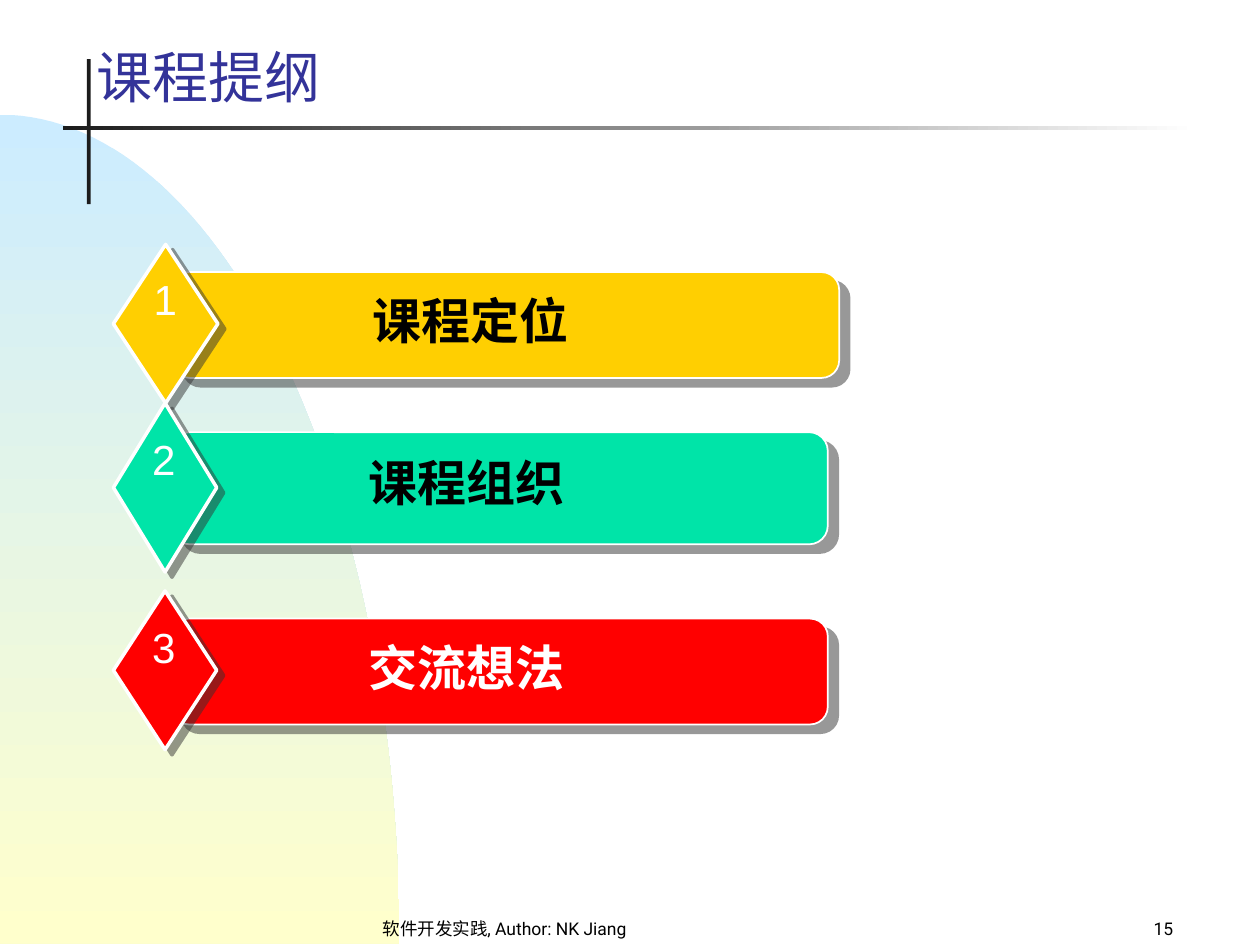
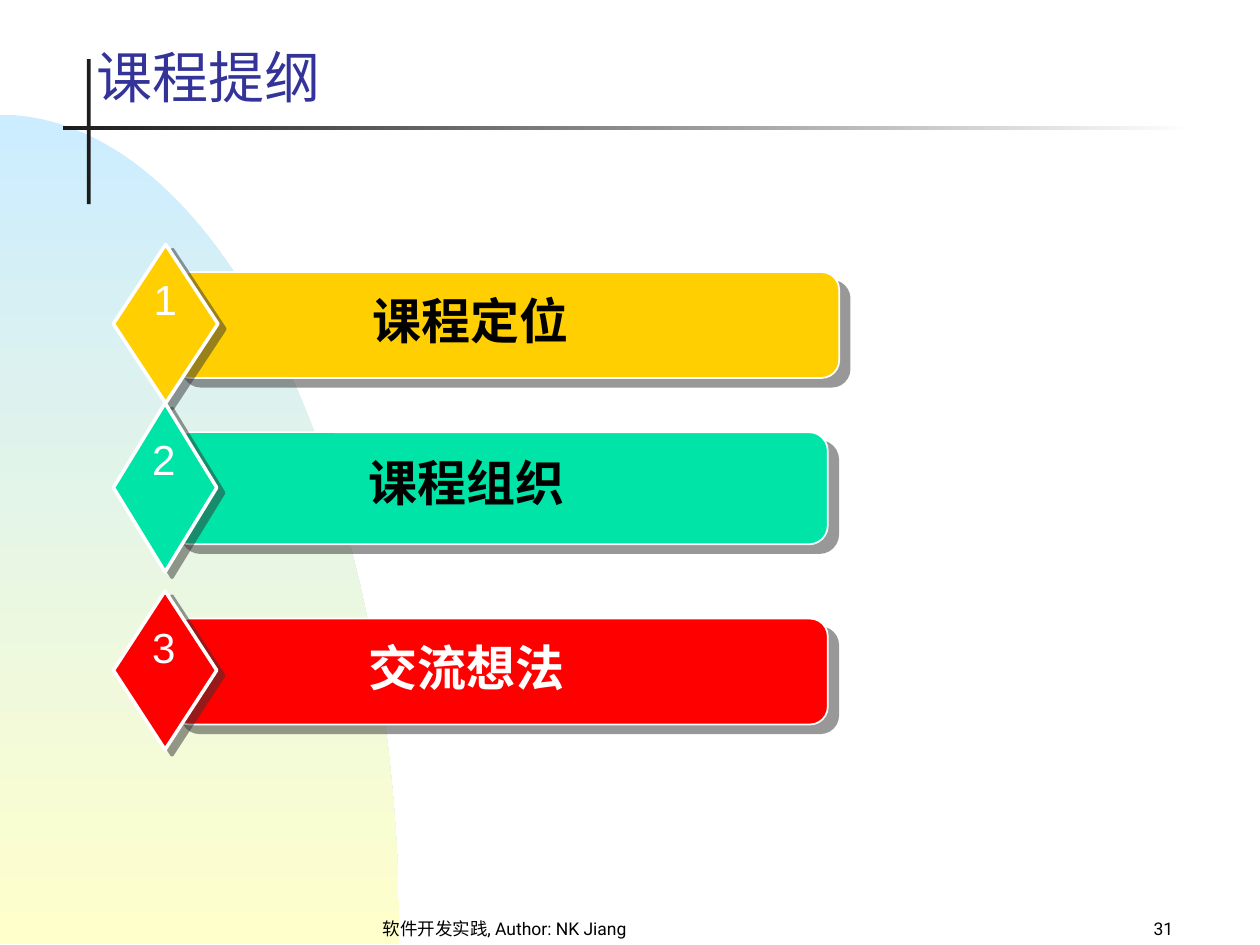
from math import cos, pi, sin

from lxml import etree
from pptx import Presentation
from pptx import util as u
from pptx.dml import color
from pptx.enum import shapes, text
from pptx.oxml import ns

Inches, Pt = u.Inches, u.Pt
KIND = shapes.MSO_SHAPE
ALIGN = text.PP_ALIGN
ANCHOR = text.MSO_ANCHOR

# Shared colours and fonts
INK, WHITE, BLACK = "1C1C1C", "FFFFFF", "000000"
SKY, CREAM, NAVY, SHADE = "CCECFF", "FFFFCC", "333399", "333333"
BODY, LABEL = "Roboto", "Arial"

# Outline rows: label, fill, label colour, bar, diamond, label box, number box
ROWS = [
    ("课程定位", "FFCF01", BLACK, (1.37, 2.16, 5.29, 0.84),
     (0.9, 1.94, 0.83, 1.26), (1.65, 2.26, 4.17, 0.57), (1.12, 2.12)),
    ("课程组织", "00E4A8", BLACK, (1.36, 3.43, 5.21, 0.89),
     (0.9, 3.2, 0.82, 1.34), (1.64, 3.54, 4.12, 0.57), (1.11, 3.39)),
    ("交流想法", "FF0000", WHITE, (1.36, 4.91, 5.21, 0.84),
     (0.9, 4.69, 0.82, 1.26), (1.64, 5.01, 4.12, 0.57), (1.11, 4.88)),
]


def rgb(code):
    return color.RGBColor.from_string(code)


def paint(shape, fill):
    """Fill with one colour, or with a (first, last, angle) gradient."""
    if isinstance(fill, str):
        shape.fill.solid()
        shape.fill.fore_color.rgb = rgb(fill)
        return
    first, last, angle = fill
    shape.fill.gradient()
    shape.fill.gradient_angle = angle
    for stop, code in zip(shape.fill.gradient_stops, (first, last)):
        stop.color.rgb = rgb(code)


def cast(shape, dist, angle):
    """Give the shape a hard, half-transparent shadow."""
    effects = shape._element.spPr.find(ns.qn("a:effectLst"))
    outer = etree.SubElement(effects, ns.qn("a:outerShdw"), blurRad="0",
                             dist=str(Pt(dist)), dir=str(angle * 60000),
                             algn="ctr", rotWithShape="0")
    tint = etree.SubElement(outer, ns.qn("a:srgbClr"), val=SHADE)
    etree.SubElement(tint, ns.qn("a:alpha"), val="50000")


def block(tree, kind, spot, fill, line=None):
    shape = tree.add_shape(kind, *map(Inches, spot))
    shape.shadow.inherit = False
    paint(shape, fill)
    if line:
        shape.line.color.rgb = rgb(WHITE)
        shape.line.width = Pt(line)
    else:
        shape.line.fill.background()
    return shape


def write(tree, words, spot, size, font=BODY, ink=BLACK, bold=False,
          align=ALIGN.LEFT, anchor=ANCHOR.TOP, wrap=True, grow=False):
    frame = tree.add_textbox(*map(Inches, spot)).text_frame
    frame.word_wrap = wrap
    frame.vertical_anchor = anchor
    if grow:
        frame.auto_size = text.MSO_AUTO_SIZE.SHAPE_TO_FIT_TEXT
    para = frame.paragraphs[0]
    para.alignment = align
    run = para.add_run()
    run.text = words
    run.font.name, run.font.size, run.font.bold = font, Pt(size), bold
    run.font.color.rgb = rgb(ink)


def dome(tree, wide=3.17, top=0.91, base=7.49, steps=60):
    """Quarter ellipse that rises from the lower left corner."""
    turns = [pi / 2 * i / steps for i in range(steps + 1)]
    arc = [(Inches(wide * sin(t)), Inches(base - (base - top) * cos(t)))
           for t in turns]
    pen = tree.build_freeform(*arc[0])
    pen.add_line_segments(arc[1:] + [(0, Inches(base))], close=True)
    shape = pen.convert_to_shape()
    shape.shadow.inherit = False
    paint(shape, (SKY, CREAM, 270))
    shape.line.fill.background()


def frame(tree, title, page):
    """Backdrop, title and footer of every slide."""
    dome(tree)
    block(tree, KIND.RECTANGLE, (0.69, 0.47, 0.03, 1.15), INK)
    block(tree, KIND.RECTANGLE, (0.5, 1, 9, 0.03), (INK, WHITE, 0))
    write(tree, "软件开发实践, Author: NK Jiang", (2.42, 7.17, 3.17, 0.33), 10,
          align=ALIGN.CENTER, anchor=ANCHOR.BOTTOM)
    write(tree, str(page), (7.33, 7.17, 2.08, 0.33), 10,
          align=ALIGN.RIGHT, anchor=ANCHOR.BOTTOM)
    write(tree, title, (0.67, 0.17, 7.08, 0.75), 32, ink=NAVY,
          anchor=ANCHOR.BOTTOM)


def entry(tree, number, row):
    """One numbered outline row, grouped."""
    label, fill, ink, bar, gem, place, spot = row
    group = tree.add_group_shape().shapes
    cast(block(group, KIND.ROUNDED_RECTANGLE, bar, fill, 1), 7.8, 40)
    cast(block(group, KIND.DIAMOND, gem, fill, 2), 5, 37)
    write(group, label, place, 28, font=LABEL, ink=ink, bold=True,
          align=ALIGN.CENTER, grow=True)
    write(group, str(number), (*spot, 0.38, 0.5), 24, font=LABEL, ink=WHITE,
          align=ALIGN.CENTER, wrap=False, grow=True)


def main():
    deck = Presentation()
    deck.slide_width, deck.slide_height = Inches(10), Inches(7.5)
    for page in (15, 31):
        tree = deck.slides.add_slide(deck.slide_layouts[6]).shapes
        frame(tree, "课程提纲", page)
        for number, row in enumerate(ROWS, 1):
            entry(tree, number, row)
    deck.save("out.pptx")


if __name__ == "__main__":
    main()
